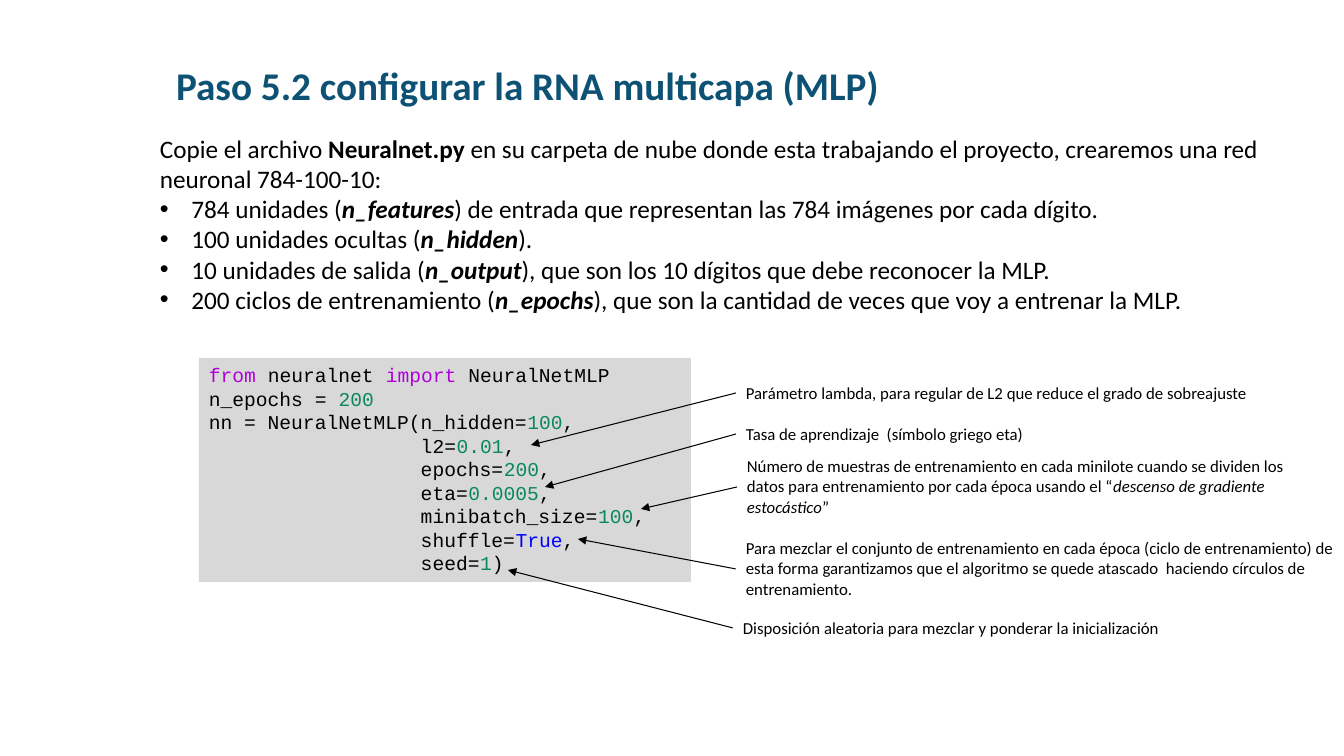
from lxml import etree
from pptx import Presentation
from pptx import util as u
from pptx.dml.color import RGBColor
from pptx.enum import shapes, text
from pptx.oxml.ns import qn

PX = 914400 / 100.8  # EMU per pixel


def add_runs(p, line, size, font="Calibri", bold=False, italic=False, color="000000", accent=None):
    """Write a line whose |marked| parts take the bold, italic or accent style."""
    for i, part in enumerate(line.split("|")):
        if not part:
            continue
        marked = i % 2 == 1
        r = p.add_run()
        r.text = part
        r.font.size, r.font.name = u.Pt(size), font
        r.font.bold, r.font.italic = bold and marked, italic and marked
        r.font.color.rgb = RGBColor.from_string(accent if accent and marked else color)


def add_box(s, box, fill=None):
    """Add a text area, as a filled rectangle if a fill is given."""
    x, y, w, h = [round(v * PX) for v in box]
    if fill:
        sp = s.shapes.add_shape(shapes.MSO_SHAPE.RECTANGLE, x, y, w, h)
        sp.shadow.inherit = False
        sp.fill.solid()
        sp.fill.fore_color.rgb = RGBColor.from_string(fill)
        sp.line.fill.background()
    else:
        sp = s.shapes.add_textbox(x, y, w, h)
    tf = sp.text_frame
    tf.word_wrap = True
    tf.vertical_anchor = text.MSO_ANCHOR.TOP
    tf.paragraphs[0].alignment = text.PP_ALIGN.LEFT
    return tf


prs = Presentation()
prs.slide_width, prs.slide_height = round(1344 * PX), round(756 * PX)
s = prs.slides.add_slide(prs.slide_layouts[5])

# Title
title = s.shapes.title
title.left, title.top, title.width, title.height = [round(v * PX) for v in (166, 56, 801, 57)]
tf = title.text_frame
tf.text = "Paso 5.2 configurar la RNA multicapa (MLP)"
tf.word_wrap = True
tf.auto_size = text.MSO_AUTO_SIZE.NONE
tf.vertical_anchor = text.MSO_ANCHOR.TOP
p = tf.paragraphs[0]
p.alignment = text.PP_ALIGN.LEFT
font = p.runs[0].font
font.size, font.name, font.bold = u.Pt(28), "Calibri", True
font.color.rgb = RGBColor.from_string("0D5274")

# Introduction and network parameters
tf = add_box(s, (150, 128, 1133, 224))
add_runs(tf.paragraphs[0], "Copie el archivo |Neuralnet.py| en su carpeta de nube donde esta trabajando "
         "el proyecto, crearemos una red neuronal 784-100-10:", 18, bold=True)
parameters = [
    "784 unidades (|n_features|) de entrada que representan las 784 imágenes por cada dígito.",
    "100 unidades ocultas (|n_hidden|).",
    "10 unidades de salida (|n_output|), que son los 10 dígitos que debe reconocer la MLP.",
    "200 ciclos de entrenamiento (|n_epochs|), que son la cantidad de veces que voy a entrenar la MLP.",
]
indent = round(31.5 * PX)
for line in parameters:
    p = tf.add_paragraph()
    pPr = p._p.get_or_add_pPr()
    pPr.set("marL", str(indent))
    pPr.set("indent", str(-indent))
    etree.SubElement(pPr, qn("a:buFont")).set("typeface", "Arial")
    etree.SubElement(pPr, qn("a:buChar")).set("char", "•")
    add_runs(p, line, 18, bold=True, italic=True)

# Code
KEYWORD, NUMBER, CONSTANT = "AF00DB", "09885A", "0000FF"
code = [
    ("|from| neuralnet |import| NeuralNetMLP", KEYWORD),
    ("n_epochs = |200|", NUMBER),
    ("nn = NeuralNetMLP(n_hidden=|100|,", NUMBER),
    ("                  l2=|0.01|,", NUMBER),
    ("                  epochs=|200|,", NUMBER),
    ("                  eta=|0.0005|,", NUMBER),
    ("                  minibatch_size=|100|,", NUMBER),
    ("                  shuffle=|True|,", CONSTANT),
    ("                  seed=|1|)", NUMBER),
]
tf = add_box(s, (199, 358, 492, 224), "D8D8D8")
for i, (line, accent) in enumerate(code):
    p = tf.add_paragraph() if i else tf.paragraphs[0]
    p.alignment = text.PP_ALIGN.LEFT
    add_runs(p, line, 14, "Courier New", accent=accent)

# Notes, each with an arrow from its left edge to the code
notes = [
    ((736, 378, 563, 30), (531, 445), None,
     "Parámetro lambda, para regular de L2 que reduce el grado de sobreajuste"),
    ((736, 419, 563, 30), (545, 487), None,
     "Tasa de aprendizaje  (símbolo griego eta)"),
    ((736, 533, 608, 72), (578, 539), "FFFFFF",
     "Para mezclar el conjunto de entrenamiento en cada época (ciclo de entrenamiento) de esta "
     "forma garantizamos que el algoritmo se quede atascado  haciendo círculos de entrenamiento."),
    ((733, 613, 608, 30), (508, 570), "FFFFFF",
     "Disposición aleatoria para mezclar y ponderar la inicialización"),
    ((737, 451, 563, 72), (641, 509), None,
     "Número de muestras de entrenamiento en cada minilote cuando se dividen los datos para "
     "entrenamiento por cada época usando el “|descenso de gradiente estocástico|”"),
]
for box, tip, fill, note in notes:
    x, y, w, h = box
    ends = [round(v * PX) for v in (x, y + h / 2, *tip)]
    arrow = s.shapes.add_connector(shapes.MSO_CONNECTOR.STRAIGHT, *ends)
    arrow.line.width = u.Pt(0.75)
    arrow.line.color.rgb = RGBColor.from_string("000000")
    etree.SubElement(arrow.line._get_or_add_ln(), qn("a:tailEnd")).set("type", "triangle")
    etree.SubElement(arrow._element.spPr, qn("a:effectLst"))
    tf = add_box(s, box, fill)
    add_runs(tf.paragraphs[0], note, 12, italic=True)

prs.save("out.pptx")
